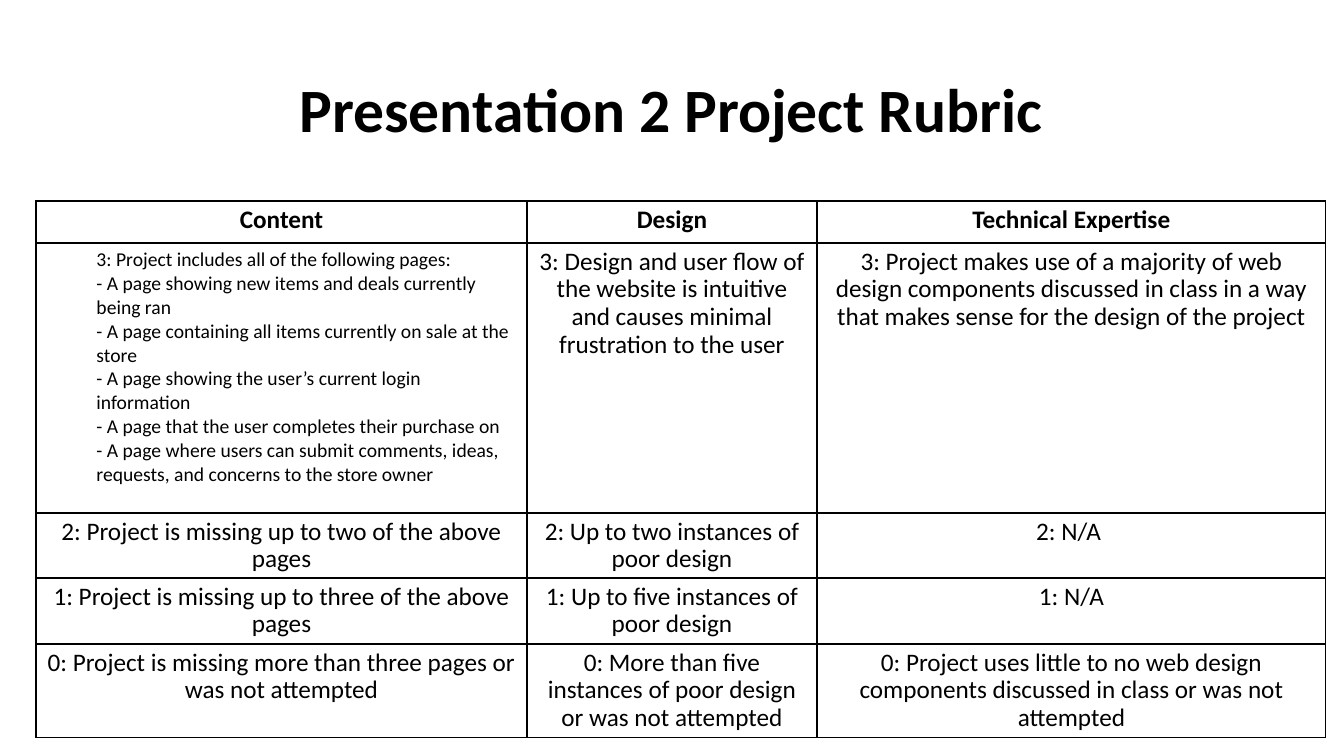
from lxml import etree
from pptx import Presentation
from pptx import util as u
from pptx.dml.color import RGBColor
from pptx.enum import text
from pptx.oxml import ns

PX = 914400 / 100.8
FONT = "Calibri"
BLACK = "000000"

COLUMN_WIDTHS = [491, 290, 509]
ROW_HEIGHTS = [42, 270, 65, 66, 94]
REQUIRED_PAGES = [
    "3: Project includes all of the following pages:",
    "- A page showing new items and deals currently being ran",
    "- A page containing all items currently on sale at the store",
    "- A page showing the user’s current login information",
    "- A page that the user completes their purchase on",
    "- A page where users can submit comments, ideas, requests, and concerns to the store owner",
]
RUBRIC = [
    ["Content", "Design", "Technical Expertise"],
    [
        REQUIRED_PAGES,
        "3: Design and user flow of the website is intuitive and causes minimal frustration to the user",
        "3: Project makes use of a majority of web design components discussed in class"
        " in a way that makes sense for the design of the project",
    ],
    [
        "2: Project is missing up to two of the above pages",
        "2: Up to two instances of poor design",
        "2: N/A ",
    ],
    [
        "1: Project is missing up to three of the above pages",
        "1: Up to five instances of poor design",
        "1: N/A",
    ],
    [
        "0: Project is missing more than three pages or was not attempted",
        "0: More than five instances of poor design or was not attempted",
        "0: Project uses little to no web design components discussed in class or was not attempted",
    ],
]


def px(length):
    return u.Emu(round(length * PX))


def color(hex_value):
    return RGBColor.from_string(hex_value)


def style_font(para, size, bold=False):
    para.font.name = FONT
    para.font.size = u.Pt(size)
    para.font.bold = bold
    para.font.color.rgb = color(BLACK)


def write_centred(frame, words, size, bold=False):
    para = frame.paragraphs[0]
    para.text = words
    para.alignment = text.PP_ALIGN.CENTER
    para.line_spacing = 0.9
    style_font(para, size, bold)


def write_indented(frame, lines):
    """Fill a cell with small left-aligned lines, one paragraph each."""
    for index, line in enumerate(lines):
        para = frame.add_paragraph() if index else frame.paragraphs[0]
        para.text = line
        para.level = 1
        properties = para._p.get_or_add_pPr()
        properties.set("marL", str(u.Inches(0.5)))
        properties.set("indent", "0")
        style_font(para, 14)


def add_borders(cell):
    properties = cell._tc.get_or_add_tcPr()
    for position, side in enumerate(["lnL", "lnR", "lnT", "lnB"]):
        line = etree.Element(ns.qn(f"a:{side}"), w=str(u.Pt(1)))
        fill = etree.SubElement(line, ns.qn("a:solidFill"))
        etree.SubElement(fill, ns.qn("a:srgbClr"), val=BLACK)
        properties.insert(position, line)


def add_title(page, words):
    box = page.shapes.add_textbox(px(92), px(40), px(1159), px(146))
    frame = box.text_frame
    frame.word_wrap = True
    frame.vertical_anchor = text.MSO_ANCHOR.MIDDLE
    write_centred(frame, words, 44, bold=True)


def add_rubric(page):
    table = page.shapes.add_table(
        len(RUBRIC), len(COLUMN_WIDTHS), px(36), px(201),
        px(sum(COLUMN_WIDTHS)), px(sum(ROW_HEIGHTS)),
    ).table
    table.first_row = False
    table.horz_banding = False
    for column, width in zip(table.columns, COLUMN_WIDTHS):
        column.width = px(width)
    for row_index, (row, height) in enumerate(zip(table.rows, ROW_HEIGHTS)):
        row.height = px(height)
        for cell, content in zip(row.cells, RUBRIC[row_index]):
            cell.fill.background()
            add_borders(cell)
            if isinstance(content, list):
                write_indented(cell.text_frame, content)
            else:
                write_centred(cell.text_frame, content, 18, bold=row_index == 0)


def main():
    deck = Presentation()
    deck.slide_width = px(1344)
    deck.slide_height = px(756)
    page = deck.slides.add_slide(deck.slide_layouts[6])
    add_title(page, "Presentation 2 Project Rubric")
    add_rubric(page)
    deck.save("out.pptx")


if __name__ == "__main__":
    main()
